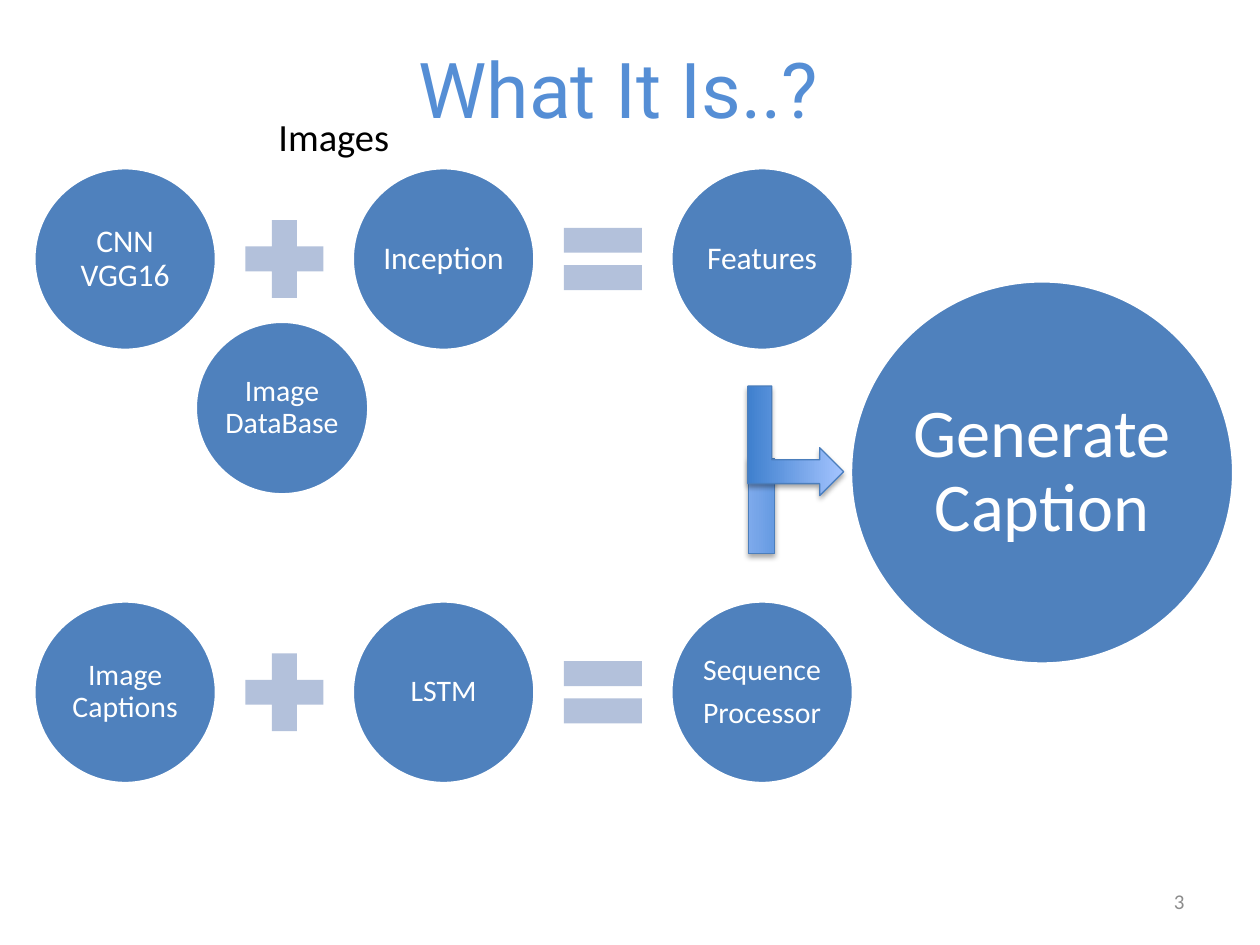
from dataclasses import dataclass

from lxml import etree
from pptx import Presentation
from pptx import util as u
from pptx.dml.color import RGBColor
from pptx.enum import shapes, text
from pptx.oxml import ns

COLORS = {
    "circle": "4F81BD",
    "operator": "B3C1DB",
    "white": "FFFFFF",
    "black": "000000",
    "title": "558ED5",
    "number": "8C8C8C",
    "arrow_dark": "3F80CE",
    "arrow_light": "A4C4FF",
    "arrow_line": "4B7EBC",
}
SHAPE = shapes.MSO_SHAPE
ALIGN = text.PP_ALIGN
MIDDLE = text.MSO_ANCHOR.MIDDLE
TOP = text.MSO_ANCHOR.TOP

ROW_LEFT, ROW_PITCH, CIRCLE_SIZE = 19.3, 182, 104.4
OPERATOR_LEFT, OPERATOR_SIZE = 132.3, 60.5


@dataclass
class Circle:
    left: float
    top: float
    size: float
    words: list[str]
    font_size: float
    inset: float


@dataclass
class Equation:
    top: float
    terms: list[list[str]]
    font_size: float
    inset: float


@dataclass
class Label:
    left: float
    top: float
    width: float
    height: float
    words: str
    font: str
    font_size: float
    color: str
    align: ALIGN
    anchor: text.MSO_ANCHOR


@dataclass
class Arrow:
    kind: SHAPE
    left: float
    top: float
    width: float
    height: float
    rotation: float


EQUATIONS = [
    Equation(95.8, [["CNN\vVGG16"], ["Inception"], ["Features"]], 18, 2),
    Equation(343.4, [["Image Captions"], ["LSTM"], ["Sequence", "Processor"]], 17, 1.5),
]
RESULT = Circle(486, 160.5, 219, ["Generate Caption"], 39, 3.6)
DATABASE = Circle(111.6, 183.6, 99.2, ["Image DataBase"], 17, 1.5)
LABELS = [
    Label(152, 61.2, 90, 34, "Images", "Calibri", 22, "black", ALIGN.LEFT, TOP),
    Label(29.5, 5, 648, 90, "What It Is..?", "Roboto", 44, "title", ALIGN.CENTER, MIDDLE),
    Label(516, 500.5, 168, 28.8, "3", "Calibri", 12, "number", ALIGN.RIGHT, MIDDLE),
]
LOWER_ARROW = Arrow(SHAPE.MATH_MINUS, 398.2, 257.8, 74.2, 62.6, 270)
UPPER_ARROW = Arrow(SHAPE.BENT_UP_ARROW, 423.4, 224.6, 62.6, 54.7, 90)


def rgb(name: str) -> RGBColor:
    return RGBColor.from_string(COLORS[name])


def set_all(target, values: dict) -> None:
    for name, value in values.items():
        setattr(target, name, value)


def add_shape(page, kind: SHAPE, left: float, top: float, width: float, height: float):
    shape = page.shapes.add_shape(kind, u.Pt(left), u.Pt(top), u.Pt(width), u.Pt(height))
    shape.shadow.inherit = False
    return shape


def write(para, words: str, align: ALIGN, font: str, size: float, color: str) -> None:
    para.text = words
    para.alignment = align
    for span in para.runs:
        set_all(span.font, {"name": font, "size": u.Pt(size)})
        span.font.color.rgb = rgb(color)


def add_circle(page, circle: Circle) -> None:
    shape = add_shape(page, SHAPE.OVAL, circle.left, circle.top, circle.size, circle.size)
    shape.fill.solid()
    shape.fill.fore_color.rgb = rgb("circle")
    shape.line.color.rgb = rgb("white")
    shape.line.width = u.Pt(2)
    frame = shape.text_frame
    sides = ("left", "top", "right", "bottom")
    set_all(frame, {f"margin_{side}": u.Pt(circle.inset) for side in sides})
    set_all(frame, {"word_wrap": True, "vertical_anchor": MIDDLE})
    for index, words in enumerate(circle.words):
        para = frame.add_paragraph() if index else frame.paragraphs[0]
        write(para, words, ALIGN.CENTER, "Calibri", circle.font_size, "white")
        set_all(para, {"line_spacing": 0.9, "space_after": u.Pt(0.35 * circle.font_size)})


def add_operator(page, kind: SHAPE, left: float, top: float) -> None:
    shape = add_shape(page, kind, left, top, OPERATOR_SIZE, OPERATOR_SIZE)
    shape.fill.solid()
    shape.fill.fore_color.rgb = rgb("operator")
    shape.line.fill.background()


def add_equation(page, equation: Equation) -> None:
    """Draw three circles in a row, joined by a plus and an equals sign."""
    for index, words in enumerate(equation.terms):
        left = ROW_LEFT + index * ROW_PITCH
        add_circle(page, Circle(left, equation.top, CIRCLE_SIZE, words,
                                equation.font_size, equation.inset))
    operator_top = equation.top + (CIRCLE_SIZE - OPERATOR_SIZE) / 2
    for index, kind in enumerate((SHAPE.MATH_PLUS, SHAPE.MATH_EQUAL)):
        add_operator(page, kind, OPERATOR_LEFT + index * ROW_PITCH, operator_top)


def add_drop_shadow(shape) -> None:
    effects = shape.element.spPr.find(ns.qn("a:effectLst"))
    shadow = etree.SubElement(effects, ns.qn("a:outerShdw"), {
        "blurRad": str(u.Pt(3.1)), "dist": str(u.Pt(1.8)),
        "dir": "5400000", "rotWithShape": "0",
    })
    color = etree.SubElement(shadow, ns.qn("a:srgbClr"), val=COLORS["black"])
    etree.SubElement(color, ns.qn("a:alpha"), val="35000")


def add_arrow(page, arrow: Arrow) -> None:
    shape = add_shape(page, arrow.kind, arrow.left, arrow.top, arrow.width, arrow.height)
    shape.rotation = arrow.rotation
    shape.fill.gradient()
    shape.fill.gradient_angle = 90
    for stop, name in zip(shape.fill.gradient_stops, ("arrow_dark", "arrow_light")):
        stop.color.rgb = rgb(name)
    shape.line.color.rgb = rgb("arrow_line")
    shape.line.width = u.Pt(0.75)
    add_drop_shadow(shape)


def add_label(page, label: Label) -> None:
    box = page.shapes.add_textbox(u.Pt(label.left), u.Pt(label.top),
                                  u.Pt(label.width), u.Pt(label.height))
    set_all(box.text_frame, {"word_wrap": True, "vertical_anchor": label.anchor})
    write(box.text_frame.paragraphs[0], label.words, label.align,
          label.font, label.font_size, label.color)


def main() -> None:
    deck = Presentation()
    set_all(deck, {"slide_width": u.Pt(720), "slide_height": u.Pt(540)})
    page = deck.slides.add_slide(deck.slide_layouts[6])
    add_arrow(page, LOWER_ARROW)
    for equation in EQUATIONS:
        add_equation(page, equation)
    for label in LABELS:
        add_label(page, label)
    add_circle(page, RESULT)
    add_arrow(page, UPPER_ARROW)
    add_circle(page, DATABASE)
    deck.save("out.pptx")


if __name__ == "__main__":
    main()
